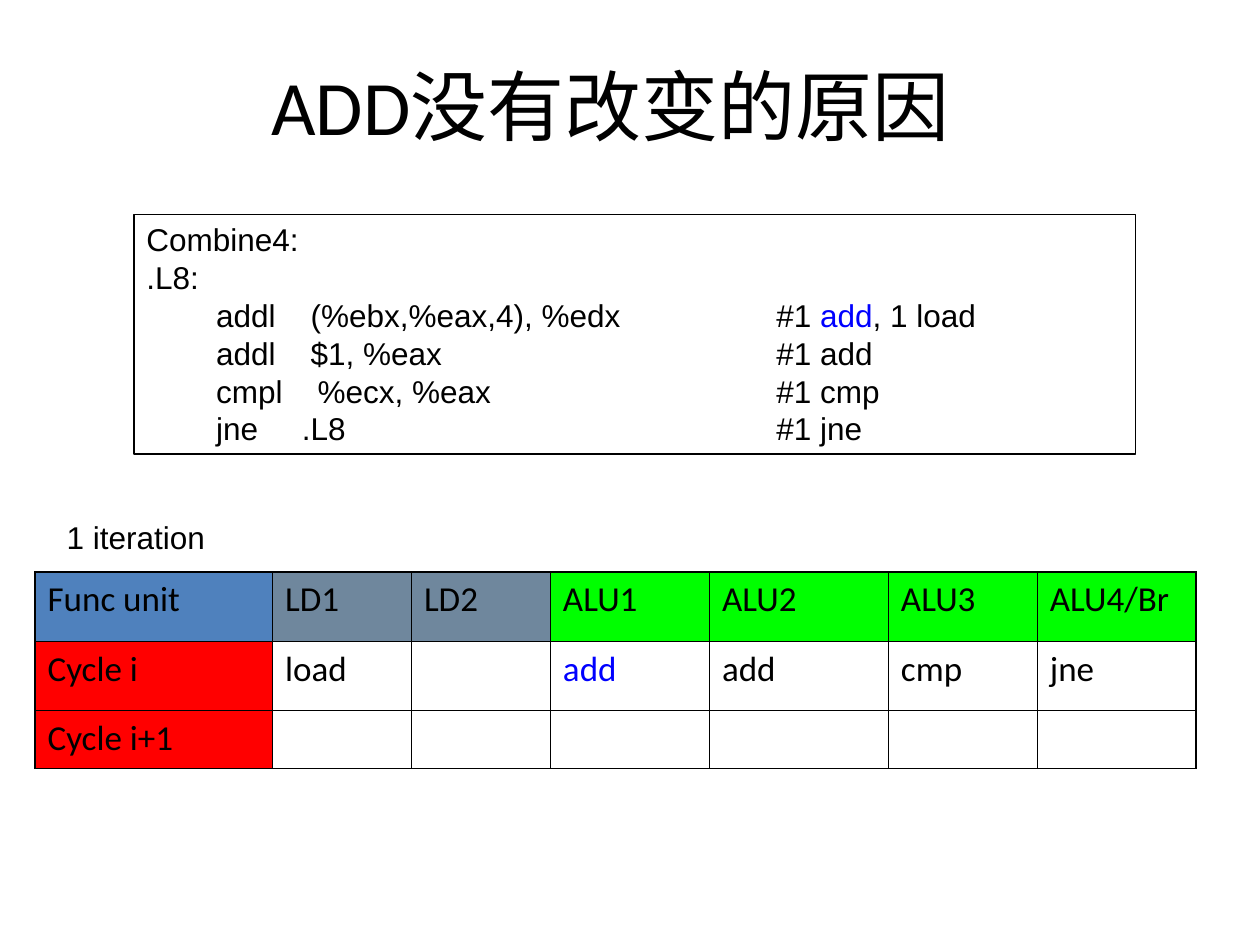
from lxml.etree import SubElement
from pptx import Presentation
from pptx.dml.color import RGBColor
from pptx.enum.shapes import MSO_SHAPE
from pptx.enum.text import MSO_ANCHOR, PP_ALIGN
from pptx.oxml.ns import qn
from pptx.util import Pt

BLACK, BLUE = "000000", "0000FF"
HEADER_FILLS = ["4F81BD"] + ["6F879D"] * 2 + ["00FF00"] * 4
CYCLE_FILL = "FF0000"
OUTER_BORDER, INNER_BORDER = Pt(1.08), Pt(0.45)
COLUMN_WIDTHS = [135.7, 79.4, 79.4, 90.9, 102.3, 85.1, 90.6]
ROW_HEIGHTS = [39.5, 39.5, 33.2]
UNIT_ROWS = [
    ["Func unit", "LD1", "LD2", "ALU1", "ALU2", "ALU3", "ALU4/Br"],
    ["Cycle i", "load", "", "add", "add", "cmp", "jne"],
    ["Cycle i+1", "", "", "", "", "", ""],
]
HIGHLIGHTED_CELL = (1, 3)
CODE_LINES = [
    ["Combine4:"],
    [".L8:"],
    ["        addl    (%ebx,%eax,4), %edx\t#1 ", "add", ", 1 load"],
    ["        addl    $1, %eax\t#1 add"],
    ["        cmpl    %ecx, %eax\t#1 cmp"],
    ["        jne     .L8\t#1 jne"],
]
COMMENT_TAB = Pt(360)


def rgb(color):
    return RGBColor.from_string(color)


def format_run(run, font, size, color=BLACK):
    run.font.name = font
    run.font.size = Pt(size)
    run.font.color.rgb = rgb(color)


def add_label(slide, text, left, top, width, height, font, size):
    label = slide.shapes.add_textbox(Pt(left), Pt(top), Pt(width), Pt(height))
    frame = label.text_frame
    frame.word_wrap = True
    frame.text = text
    format_run(frame.paragraphs[0].runs[0], font, size)
    return frame


def add_title(slide, text):
    frame = add_label(slide, text, 25, 15, 648, 90, "Calibri", 44)
    frame.vertical_anchor = MSO_ANCHOR.MIDDLE
    frame.paragraphs[0].alignment = PP_ALIGN.CENTER


def add_comment_tab(paragraph):
    tabs = SubElement(paragraph._p.get_or_add_pPr(), qn("a:tabLst"))
    SubElement(tabs, qn("a:tab"), pos=str(COMMENT_TAB), algn="l")


def add_code_box(slide, lines):
    """Each line is a list of runs, of which the second is highlighted."""
    box = slide.shapes.add_shape(
        MSO_SHAPE.RECTANGLE, Pt(76.5), Pt(122.4), Pt(572.5), Pt(137))
    box.shadow.inherit = False
    box.fill.background()
    box.line.color.rgb = rgb(BLACK)
    box.line.width = Pt(0.75)
    frame = box.text_frame
    frame.word_wrap = True
    frame.vertical_anchor = MSO_ANCHOR.TOP
    for number, parts in enumerate(lines):
        paragraph = frame.add_paragraph() if number else frame.paragraphs[0]
        paragraph.alignment = PP_ALIGN.LEFT
        add_comment_tab(paragraph)
        for position, part in enumerate(parts):
            run = paragraph.add_run()
            run.text = part
            format_run(run, "Arial", 18, BLUE if position == 1 else BLACK)


def set_borders(cell, outer_sides):
    properties = cell._tc.get_or_add_tcPr()
    for side, is_outer in outer_sides.items():
        width = OUTER_BORDER if is_outer else INNER_BORDER
        border = SubElement(properties, qn(f"a:ln{side}"), w=str(width))
        fill = SubElement(border, qn("a:solidFill"))
        SubElement(fill, qn("a:srgbClr"), val=BLACK)


def fill_cell(cell, row, column):
    if row == 0:
        color = HEADER_FILLS[column]
    elif column == 0:
        color = CYCLE_FILL
    else:
        cell.fill.background()
        return
    cell.fill.solid()
    cell.fill.fore_color.rgb = rgb(color)


def add_unit_table(slide, rows):
    table = slide.shapes.add_table(
        len(rows), len(rows[0]), Pt(20), Pt(327),
        Pt(sum(COLUMN_WIDTHS)), Pt(sum(ROW_HEIGHTS))).table
    table.first_row = table.horz_banding = False
    for column, width in zip(table.columns, COLUMN_WIDTHS):
        column.width = Pt(width)
    for row, height in zip(table.rows, ROW_HEIGHTS):
        row.height = Pt(height)
    last_row, last_column = len(rows) - 1, len(rows[0]) - 1
    for r, texts in enumerate(rows):
        for c, text in enumerate(texts):
            cell = table.cell(r, c)
            set_borders(cell, {"L": c == 0, "R": c == last_column,
                               "T": r == 0, "B": r == last_row})
            fill_cell(cell, r, c)
            if text:
                cell.text_frame.text = text
                color = BLUE if (r, c) == HIGHLIGHTED_CELL else BLACK
                format_run(cell.text_frame.paragraphs[0].runs[0],
                           "Calibri", 20, color)


def main():
    presentation = Presentation()
    presentation.slide_width, presentation.slide_height = Pt(720), Pt(540)
    slide = presentation.slides.add_slide(presentation.slide_layouts[6])
    add_title(slide, "ADD没有改变的原因")
    add_unit_table(slide, UNIT_ROWS)
    add_code_box(slide, CODE_LINES)
    add_label(slide, "1 iteration", 31, 292.4, 113, 29, "Arial", 18)
    presentation.save("out.pptx")


if __name__ == "__main__":
    main()
